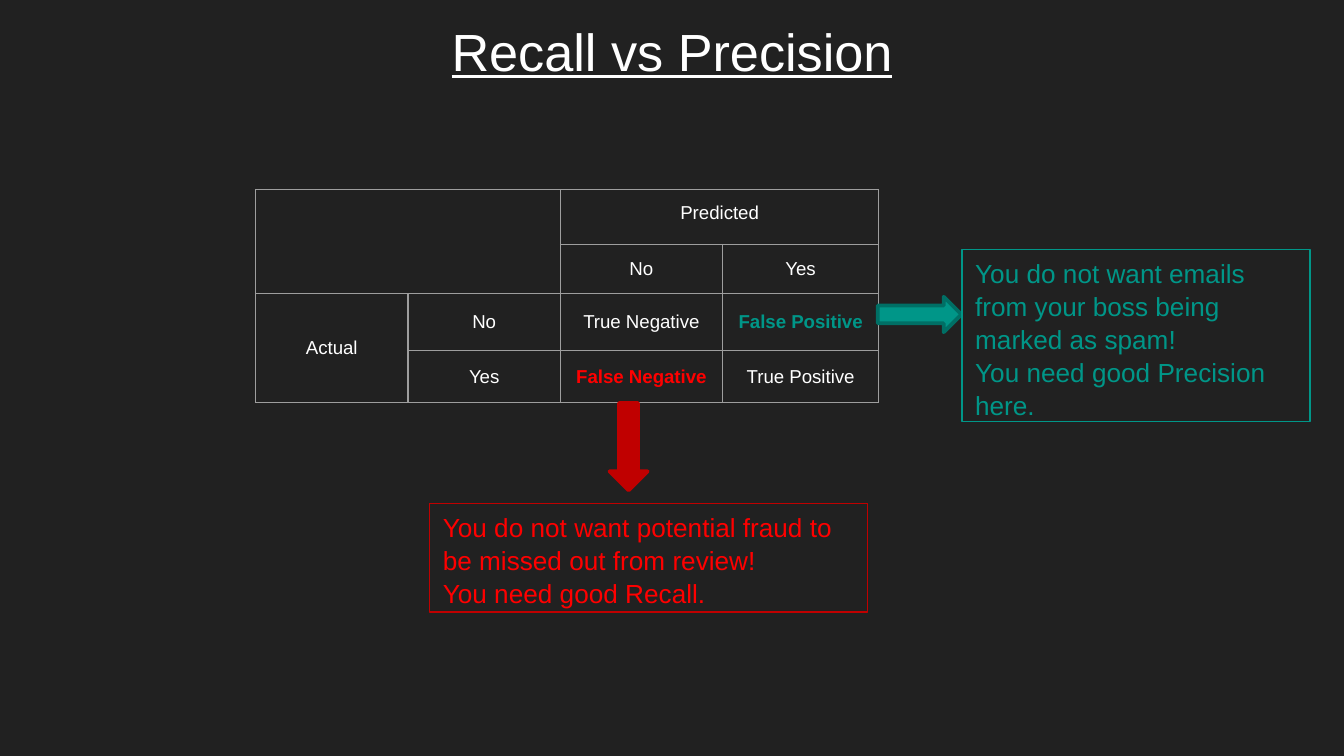
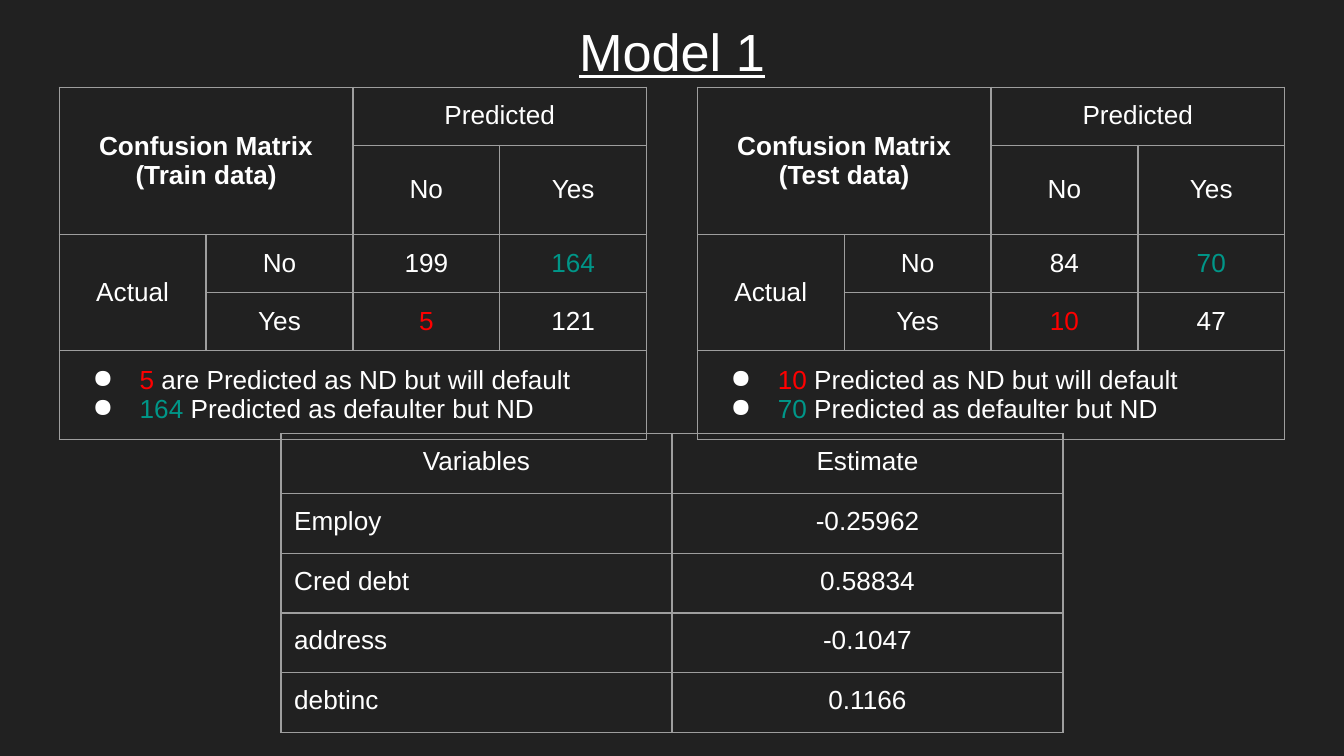
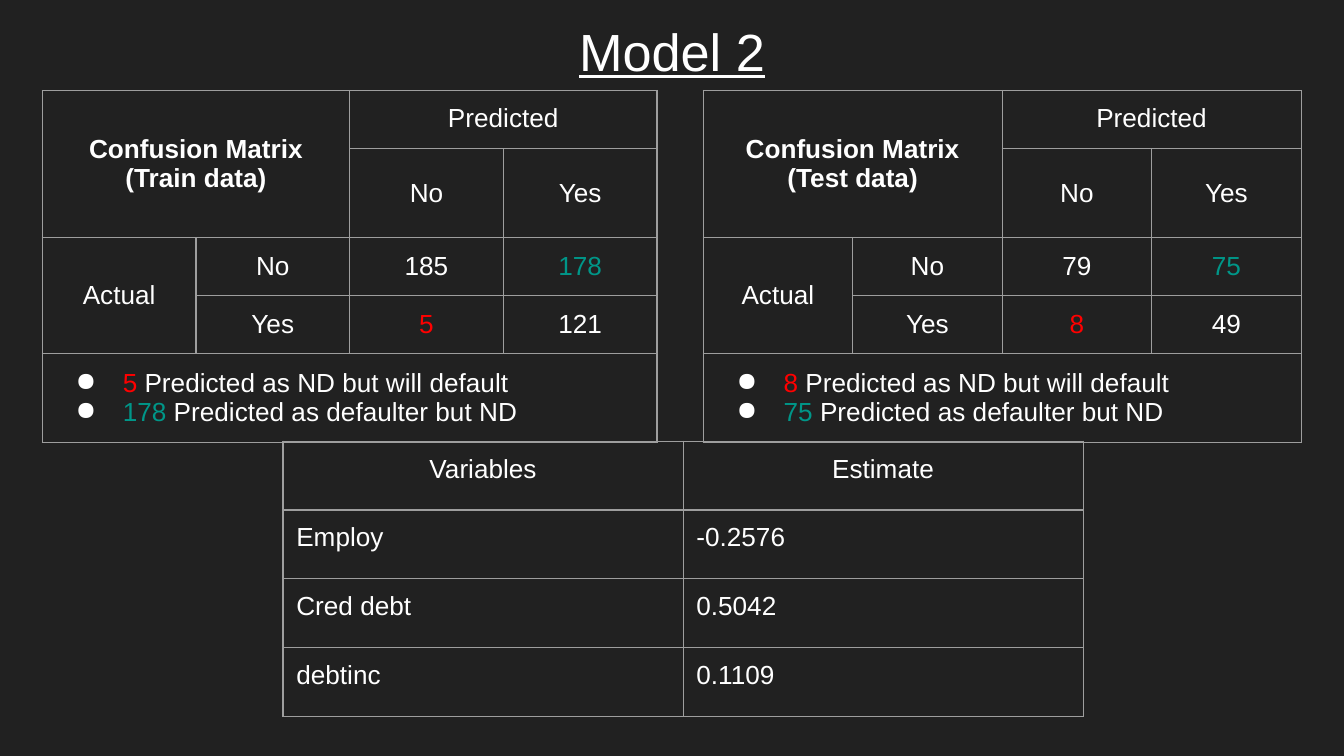
from lxml.etree import SubElement
from pptx import Presentation
from pptx.dml.color import RGBColor
from pptx.enum.shapes import MSO_SHAPE
from pptx.enum.text import MSO_ANCHOR, PP_ALIGN
from pptx.oxml.ns import qn
from pptx.util import Cm, Pt

BACKGROUND = RGBColor(0x21, 0x21, 0x21)
WHITE = RGBColor(0xFF, 0xFF, 0xFF)
GREY = RGBColor(0x9E, 0x9E, 0x9E)
TEAL = RGBColor(0x00, 0x96, 0x88)
DARK_TEAL = RGBColor(0x00, 0x6F, 0x65)
RED = RGBColor(0xFF, 0x00, 0x00)
DARK_RED = RGBColor(0xC0, 0x00, 0x00)

WIDTH, HEIGHT = 25.4, 14.29
CELL_MARGIN = 0.25
MATRIX_ROWS = [1.07, 1.63, 1.07, 1.07, 1.63]
BODY_SIZE = 14

OUTCOMES = ["True Negative", "False Positive", "False Negative", "True Positive"]
CALLOUTS = [
    {"box": (18.18, 4.72, 6.58, 3.25), "color": TEAL, "line": TEAL,
     "lines": ["You do not want emails from your boss being marked as spam!",
               "You need good Precision here."]},
    {"box": (8.12, 9.52, 8.28, 2.05), "color": RED, "line": DARK_RED,
     "lines": ["You do not want potential fraud to be missed out from review!",
               "You need good Recall."]},
]
ARROWS = [
    (MSO_SHAPE.RIGHT_ARROW, (16.59, 5.61, 1.58, 0.67), TEAL, DARK_TEAL),
    (MSO_SHAPE.DOWN_ARROW, (11.52, 7.62, 0.72, 1.65), DARK_RED, DARK_RED),
]

MISSED = " Predicted as ND but will default"
FALSE_ALARM = " Predicted as defaulter but ND"
MODELS = [
    {"title": "Model 1", "top": 1.65,
     "matrices": [
         {"name": "Train", "left": 1.12, "width": 11.1,
          "counts": ["199", "164", "5", "121"],
          "missed": " are Predicted as ND but will default"},
         {"name": "Test", "left": 13.18, "width": 11.1,
          "counts": ["84", "70", "10", "47"], "missed": MISSED},
     ],
     "estimates": {"left": 5.31, "top": 8.2, "width": 14.78, "row": 1.13,
                   "align": PP_ALIGN.CENTER,
                   "rows": [("Employ", "-0.25962"), ("Cred debt", "0.58834"),
                            ("address", "-0.1047"), ("debtinc", "0.1166")]}},
    {"title": "Model 2", "top": 1.71,
     "matrices": [
         {"name": "Train", "left": 0.8, "width": 11.62,
          "counts": ["185", "178", "5", "121"], "missed": MISSED},
         {"name": "Test", "left": 13.29, "width": 11.3,
          "counts": ["79", "75", "8", "49"], "missed": MISSED},
     ],
     "estimates": {"left": 5.35, "top": 8.34, "width": 15.12, "row": 1.3,
                   "align": PP_ALIGN.LEFT,
                   "rows": [("Employ", "-0.2576"), ("Cred debt", "0.5042"),
                            ("debtinc", "0.1109")]}},
]


def set_margins(target, left, top, right, bottom):
    for side, value in zip(("left", "top", "right", "bottom"), (left, top, right, bottom)):
        setattr(target, f"margin_{side}", Cm(value))


def add_run(p, text, size, color=WHITE, **font_format):
    r = p.add_run()
    r.text = text
    r.font.color.rgb = color
    for name, value in {"name": "Arial", "size": Pt(size), **font_format}.items():
        setattr(r.font, name, value)


def add_slide(prs, title):
    s = prs.slides.add_slide(prs.slide_layouts[6])
    s.background.fill.solid()
    s.background.fill.fore_color.rgb = BACKGROUND
    tf = s.shapes.add_textbox(0, 0, Cm(WIDTH), Cm(1.6)).text_frame
    tf.word_wrap = True
    set_margins(tf, 0.25, 0.36, 0.25, 0)
    p = tf.paragraphs[0]
    p.alignment = PP_ALIGN.CENTER
    add_run(p, title, 28, underline=True)
    return s


def style_cell(cell, size):
    set_margins(cell, *[CELL_MARGIN] * 4)
    tcPr = cell._tc.get_or_add_tcPr()
    for side in ("lnL", "lnR", "lnT", "lnB"):
        ln = SubElement(tcPr, qn(f"a:{side}"), w=str(Pt(0.75)))
        fill = SubElement(ln, qn("a:solidFill"))
        SubElement(fill, qn("a:srgbClr"), val=str(GREY))
    cell.fill.background()
    # Empty cells keep the table's text size so their rows do not grow.
    SubElement(cell.text_frame.paragraphs[0]._p, qn("a:endParaRPr"), sz=str(size * 100))


def add_grid(s, left, top, widths, heights, size):
    tbl = s.shapes.add_table(len(heights), len(widths), Cm(left), Cm(top),
                             Cm(sum(widths)), Cm(sum(heights))).table
    tbl.first_row = tbl.horz_banding = False
    for column, width in zip(tbl.columns, widths):
        column.width = Cm(width)
    for row, height in zip(tbl.rows, heights):
        row.height = Cm(height)
    for cell in tbl.iter_cells():
        style_cell(cell, size)
    return tbl


def write_cell(cell, lines, size, color=WHITE, bold=False,
               align=PP_ALIGN.CENTER, anchor=MSO_ANCHOR.MIDDLE):
    cell.vertical_anchor = anchor
    tf = cell.text_frame
    for i, line in enumerate(lines):
        p = tf.add_paragraph() if i else tf.paragraphs[0]
        p.alignment = align
        add_run(p, line, size, color, bold=bold)


def write_notes(cell, notes):
    """Fill a cell with bullets that each begin with a coloured count."""
    cell.vertical_anchor = MSO_ANCHOR.MIDDLE
    tf = cell.text_frame
    for i, (count, color, text) in enumerate(notes):
        p = tf.add_paragraph() if i else tf.paragraphs[0]
        pPr = p._p.get_or_add_pPr()
        pPr.set("marL", str(Cm(1.27)))
        pPr.set("indent", str(-Cm(0.89)))
        bullet_color = SubElement(pPr, qn("a:buClr"))
        SubElement(bullet_color, qn("a:srgbClr"), val=str(WHITE))
        SubElement(pPr, qn("a:buChar"), char="●")
        add_run(p, count, BODY_SIZE, color)
        add_run(p, text, BODY_SIZE)


def add_matrix(s, left, top, widths, heights, size, values, corner=(), bold_errors=False):
    tbl = add_grid(s, left, top, widths, heights, size)
    for first, last in [((0, 0), (1, 1)), ((0, 2), (0, 3)), ((2, 0), (3, 0))]:
        tbl.cell(*first).merge(tbl.cell(*last))
    write_cell(tbl.cell(0, 0), corner, size, bold=True)
    write_cell(tbl.cell(0, 2), ["Predicted"], size, anchor=MSO_ANCHOR.TOP)
    write_cell(tbl.cell(2, 0), ["Actual"], size)
    for i, answer in enumerate(("No", "Yes")):
        write_cell(tbl.cell(1, 2 + i), [answer], size)
        write_cell(tbl.cell(2 + i, 1), [answer], size)
    for i, (value, color) in enumerate(zip(values, (WHITE, TEAL, RED, WHITE))):
        write_cell(tbl.cell(2 + i // 2, 2 + i % 2), [value], size, color,
                   bold=bold_errors and color != WHITE)
    return tbl


def add_estimates(s, left, top, width, row, align, rows):
    tbl = add_grid(s, left, top, [width / 2] * 2, [row] * (len(rows) + 1), BODY_SIZE)
    for i, texts in enumerate([("Variables", "Estimate"), *rows]):
        aligns = (PP_ALIGN.LEFT, align) if i else (PP_ALIGN.CENTER,) * 2
        for j, text in enumerate(texts):
            write_cell(tbl.cell(i, j), [text], BODY_SIZE, align=aligns[j],
                       anchor=MSO_ANCHOR.TOP)


def add_outlined(s, kind, box, line, weight):
    sp = s.shapes.add_shape(kind, *map(Cm, box))
    sp.shadow.inherit = False
    sp.fill.background()
    sp.line.color.rgb = line
    sp.line.width = Pt(weight)
    return sp


def add_callout(s, box, color, line, lines):
    tf = add_outlined(s, MSO_SHAPE.RECTANGLE, box, line, 0.75).text_frame
    tf.word_wrap = True
    tf.vertical_anchor = MSO_ANCHOR.TOP
    for i, text in enumerate(lines):
        p = tf.add_paragraph() if i else tf.paragraphs[0]
        p.alignment = PP_ALIGN.LEFT
        p.line_spacing = 1.05
        add_run(p, text, BODY_SIZE, color)


def add_comparison(prs):
    s = add_slide(prs, "Recall vs Precision")
    add_matrix(s, 4.83, 3.58, [2.88, 2.88, 3.06, 2.96], [1.04, 0.9, 1.08, 0.99],
               10, OUTCOMES, bold_errors=True)
    for kind, box, fill, line in ARROWS:
        sp = add_outlined(s, kind, box, line, 2)
        sp.fill.solid()
        sp.fill.fore_color.rgb = fill
    for callout in CALLOUTS:
        add_callout(s, **callout)


def add_model(prs, model):
    s = add_slide(prs, model["title"])
    for m in model["matrices"]:
        counts = m["counts"]
        tbl = add_matrix(s, m["left"], model["top"], [m["width"] / 4] * 4, MATRIX_ROWS,
                         BODY_SIZE, counts, ["Confusion Matrix", f"({m['name']} data)"])
        tbl.cell(4, 0).merge(tbl.cell(4, 3))
        write_notes(tbl.cell(4, 0), [(counts[2], RED, m["missed"]),
                                     (counts[1], TEAL, FALSE_ALARM)])
    add_estimates(s, **model["estimates"])


def main():
    prs = Presentation()
    prs.slide_width, prs.slide_height = Cm(WIDTH), Cm(HEIGHT)
    add_comparison(prs)
    for model in MODELS:
        add_model(prs, model)
    prs.save("out.pptx")


if __name__ == "__main__":
    main()
